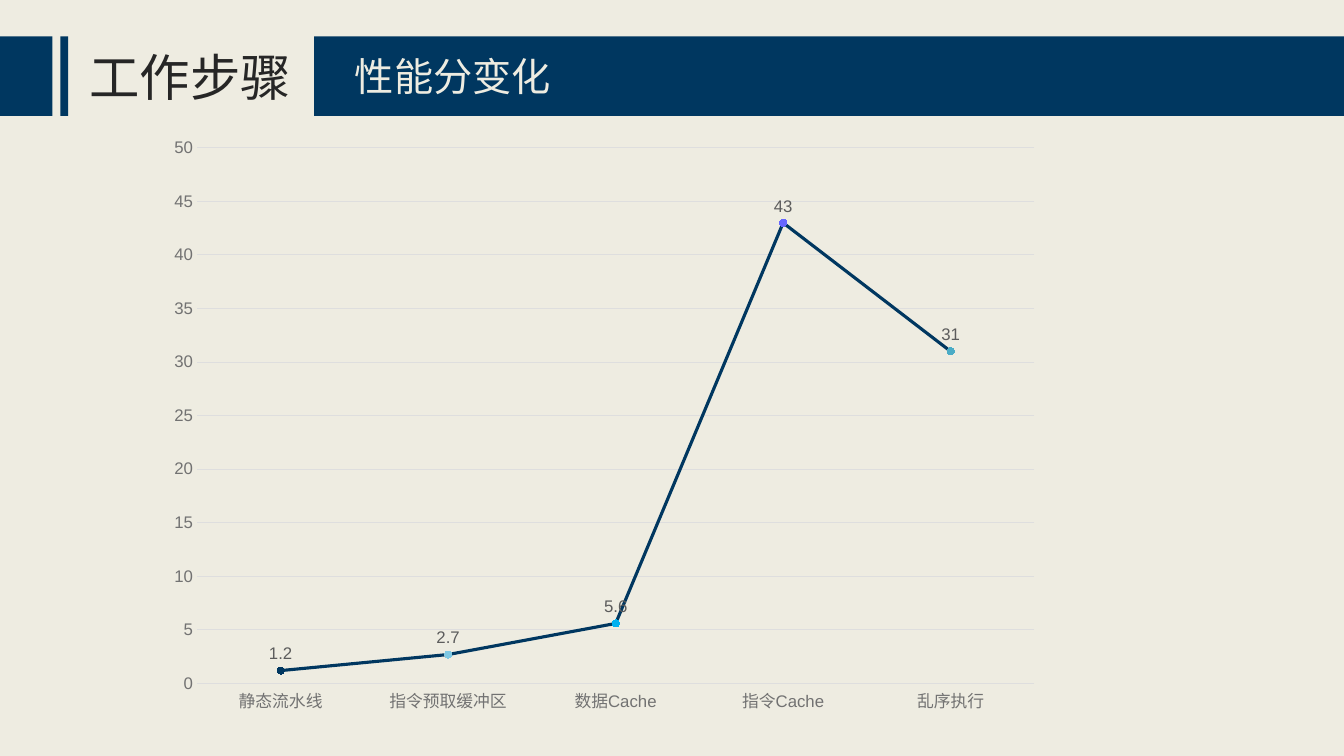
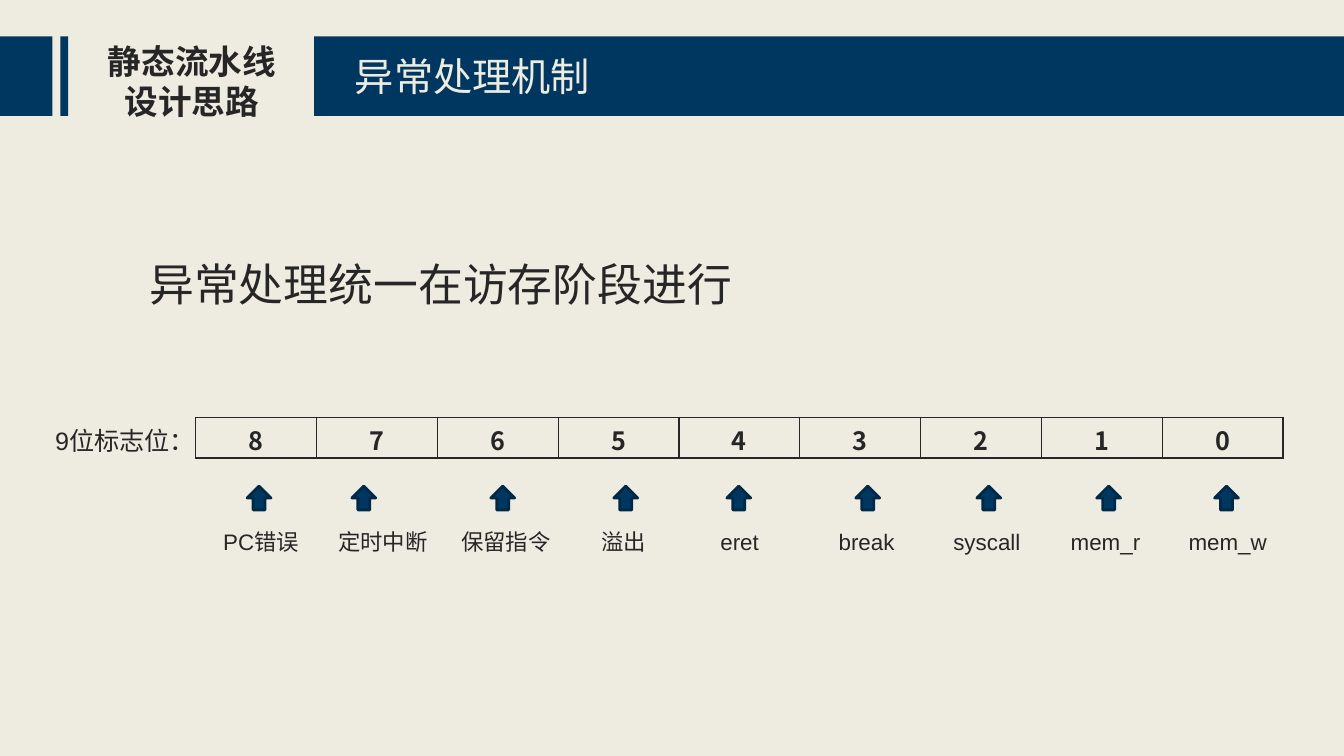
from lxml import etree
from pptx import Presentation
from pptx.chart.data import CategoryChartData
from pptx.dml.color import RGBColor
from pptx.enum.chart import XL_CHART_TYPE, XL_LABEL_POSITION, XL_MARKER_STYLE, XL_TICK_MARK
from pptx.enum.shapes import MSO_SHAPE
from pptx.enum.text import MSO_ANCHOR, MSO_AUTO_SIZE, PP_ALIGN
from pptx.oxml.ns import qn
from pptx.util import Cm, Pt

LEFT, CENTER = PP_ALIGN.LEFT, PP_ALIGN.CENTER
MIDDLE = MSO_ANCHOR.MIDDLE
RECTANGLE, UP_ARROW = MSO_SHAPE.RECTANGLE, MSO_SHAPE.UP_ARROW
CIRCLE = XL_MARKER_STYLE.CIRCLE
NO_TICK = XL_TICK_MARK.NONE


class Theme:
    navy = RGBColor.from_string("003760")
    navy_edge = RGBColor.from_string("002947")
    cream = RGBColor.from_string("EEECE1")
    ink = RGBColor.from_string("262626")
    grid = RGBColor.from_string("DEDEDE")
    axis_gray = RGBColor.from_string("727272")
    label_gray = RGBColor.from_string("5C5C5C")
    points = [RGBColor.from_string(c) for c in ("003760", "7EC8E3", "00B0F0", "6666FF", "4BACC6")]

    title = {"name": "Arial", "size": Pt(28), "bold": False, "color": cream}
    section = {"name": "Arial", "size": Pt(36), "bold": False, "color": ink}
    section_small = {"name": "Arial", "size": Pt(24), "bold": True, "color": ink}
    statement = {"name": "Arial", "size": Pt(32), "bold": False, "color": ink}
    caption = {"name": "Arial", "size": Pt(18), "bold": False, "color": ink}
    flag = {"name": "Arial", "size": Pt(16), "bold": False, "color": ink}
    bit = {"name": "Noto Sans CJK SC", "size": Pt(18), "bold": True, "color": ink}
    chart = {"name": "Arial", "size": Pt(10), "color": ink}
    axis = {"name": "Arial", "size": Pt(12), "color": axis_gray}
    value = {"name": "Arial", "size": Pt(12), "color": label_gray}


def set_font(font, style):
    for key, setting in style.items():
        if key == "color":
            font.color.rgb = setting
        else:
            setattr(font, key, setting)


def write_text(holder, box, text, style, align=LEFT):
    """Place a text box or placeholder (cm) and fill it with one paragraph."""
    holder.left, holder.top, holder.width, holder.height = map(Cm, box)
    frame = holder.text_frame
    frame.text = text
    settings = {"word_wrap": True, "auto_size": MSO_AUTO_SIZE.NONE, "vertical_anchor": MIDDLE}
    for key, setting in settings.items():
        setattr(frame, key, setting)
    paragraph = frame.paragraphs[0]
    paragraph.alignment = align
    paragraph.space_before = Pt(0)
    set_font(paragraph.runs[0].font, style)


prs = Presentation()
prs.slide_width, prs.slide_height = Cm(33.87), Cm(19.05)
background = prs.slide_master.background.fill
background.solid()
background.fore_color.rgb = Theme.cream

# Header shared by the slides: bands, section label, title
BANDS = [(0, 1.32), (1.52, 0.2), (7.92, 25.95)]  # left, width
headers = [
    (5, "工作步骤", (2, 1.02, 6.4, 1.8), Theme.section, LEFT, "性能分变化"),
    (1, "静态流水线设计思路", (2.13, 0.89, 5.41, 2.31), Theme.section_small, CENTER, "异常处理机制"),
]
for layout, section, section_box, section_style, align, topic in headers:
    slide = prs.slides.add_slide(prs.slide_layouts[layout])
    for left, width in BANDS:
        band = slide.shapes.add_shape(RECTANGLE, Cm(left), Cm(0.92), Cm(width), Cm(2))
        band.shadow.inherit = False
        band.fill.solid()
        band.fill.fore_color.rgb = Theme.navy
        band.line.fill.background()
    write_text(slide.shapes.add_textbox(0, 0, 0, 0), section_box, section, section_style, align)
    title = slide.shapes.title
    slide.shapes._spTree.append(title._element)  # in front of the band
    write_text(title, (8.69, 1.2, 12.64, 1.44), topic, Theme.title)

score_slide, exception_slide = prs.slides

# Slide 1: performance score by step
scores = CategoryChartData()
scores.categories = ["静态流水线", "指令预取缓冲区", "数据Cache", "指令Cache", "乱序执行"]
scores.add_series("Series 1", (1.2, 2.7, 5.6, 43, 31))
chart = score_slide.shapes.add_chart(
    XL_CHART_TYPE.LINE_MARKERS, Cm(3.94), Cm(3.2), Cm(22.58), Cm(15.06), scores).chart
chart.has_title = chart.has_legend = False
set_font(chart.font, Theme.chart)

steps, score = chart.category_axis, chart.value_axis
for axis in (steps, score):
    axis.major_tick_mark = axis.minor_tick_mark = NO_TICK
    set_font(axis.tick_labels.font, Theme.axis)
score.minimum_scale, score.maximum_scale, score.major_unit = 0, 50, 5
score.has_major_gridlines = True
score.format.line.fill.background()
for rule in (steps.format.line, score.major_gridlines.format.line):
    rule.color.rgb = Theme.grid
    rule.width = Pt(0.75)

plot = chart.plots[0]
plot.vary_by_categories = False
curve = plot.series[0]
curve.smooth = False
curve.format.line.color.rgb = Theme.navy
curve.format.line.width = Pt(2.25)
curve.marker.style, curve.marker.size = CIRCLE, 5
for index, color in enumerate(Theme.points):
    point = curve.points[index]
    point.format.line.color.rgb = color
    point.format.line.width = Pt(2.25)
    marker = point.marker
    marker.style, marker.size = CIRCLE, 5
    marker.format.fill.solid()
    marker.format.fill.fore_color.rgb = color
    marker.format.line.fill.background()
labels = curve.data_labels
labels.show_value = True
labels.position = XL_LABEL_POSITION.ABOVE
set_font(labels.font, Theme.value)

# Slide 2: statement
statement = exception_slide.placeholders[1]
write_text(statement, (3.51, 6.32, 17, 1.63), "异常处理统一在访存阶段进行", Theme.statement)
properties = statement.text_frame.paragraphs[0]._p.get_or_add_pPr()
properties.set("marL", "0")
properties.set("indent", "0")
etree.SubElement(properties, qn("a:buNone"))

# Flag bits, highest first
write_text(exception_slide.shapes.add_textbox(0, 0, 0, 0), (1.14, 10.59, 3.81, 1.02),
           "9位标志位：", Theme.caption)
flags = [  # label, label centre, arrow centre
    ("PC错误", 6.58, 6.53),
    ("定时中断", 9.65, 9.17),
    ("保留指令", 12.75, 12.67),
    ("溢出", 15.72, 15.77),
    ("eret", 18.64, 18.62),
    ("break", 21.84, 21.87),
    ("syscall", 24.87, 24.92),
    ("mem_r", 27.86, 27.94),
    ("mem_w", 30.94, 30.91),
]
bits = exception_slide.shapes.add_table(
    1, len(flags), Cm(4.93), Cm(10.52), Cm(27.41), Cm(1.02)).table
bits.first_row = bits.horz_banding = False
for column, cell in enumerate(bits.rows[0].cells):
    cell.text = str(len(flags) - 1 - column)
    cell.vertical_anchor = MIDDLE
    cell.margin_top, cell.margin_bottom = Cm(0.1), 0
    paragraph = cell.text_frame.paragraphs[0]
    paragraph.alignment = CENTER
    set_font(paragraph.runs[0].font, Theme.bit)
    for side in ("a:lnL", "a:lnR", "a:lnT", "a:lnB"):
        border = etree.SubElement(cell._tc.get_or_add_tcPr(), qn(side), w=str(Pt(1)))
        paint = etree.SubElement(border, qn("a:solidFill"))
        etree.SubElement(paint, qn("a:srgbClr"), val=str(Theme.ink))
    cell.fill.background()

# Arrow and meaning under each bit
ARROW, LABEL_WIDTH = 0.6, 3
for label, label_center, arrow_center in flags:
    arrow = exception_slide.shapes.add_shape(
        UP_ARROW, Cm(arrow_center - ARROW / 2), Cm(12.25), Cm(ARROW), Cm(ARROW))
    arrow.shadow.inherit = False
    arrow.fill.solid()
    arrow.fill.fore_color.rgb = Theme.navy
    arrow.line.color.rgb = Theme.navy_edge
    arrow.line.width = Pt(2)
    write_text(exception_slide.shapes.add_textbox(0, 0, 0, 0),
               (label_center - LABEL_WIDTH / 2, 13.18, LABEL_WIDTH, 0.94),
               label, Theme.flag, CENTER)

prs.save("out.pptx")
